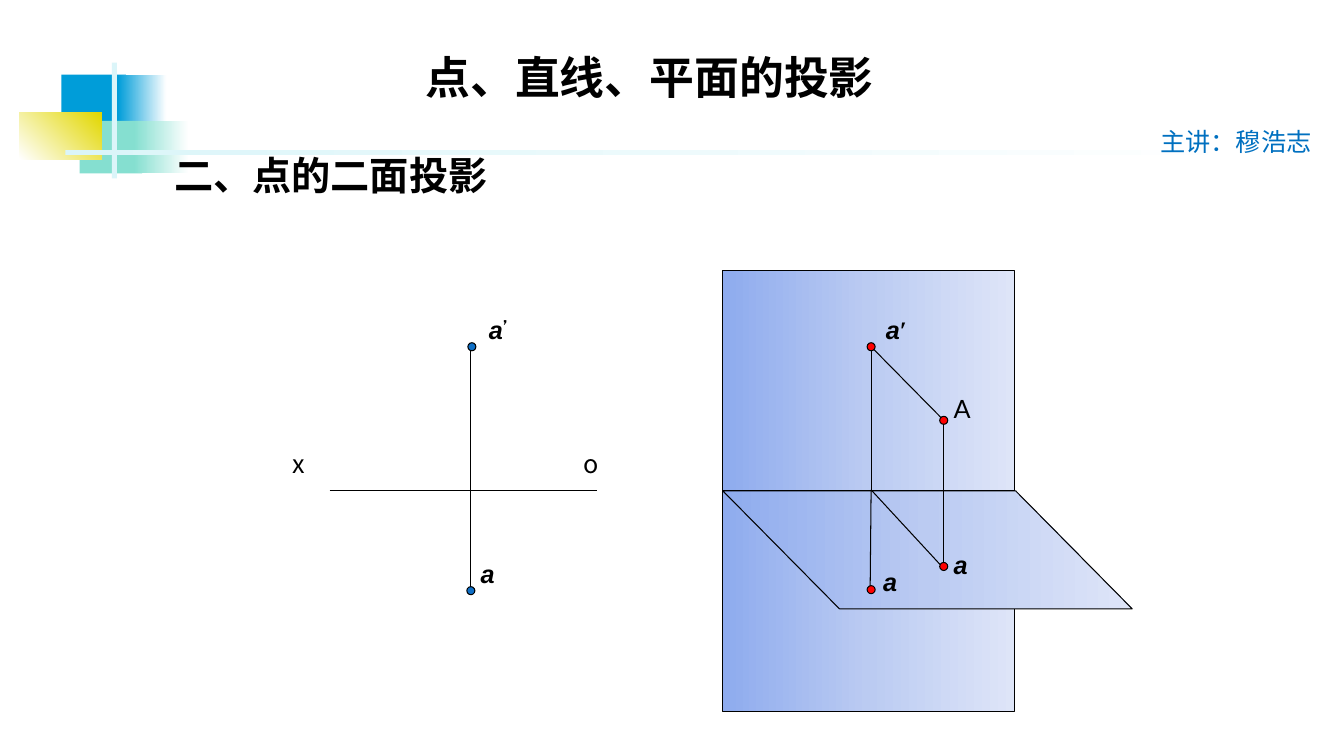
"""Build a slide on the two-plane projection of a point."""
import copy

import pptx
import pptx.dml.color
import pptx.enum.shapes
import pptx.enum.text
import pptx.oxml
import pptx.oxml.ns
import pptx.util

Inches = pptx.util.Inches
Pt = pptx.util.Pt
RGBColor = pptx.dml.color.RGBColor
Shape = pptx.enum.shapes.MSO_SHAPE
Align = pptx.enum.text.PP_ALIGN
Anchor = pptx.enum.text.MSO_ANCHOR

BLACK = RGBColor(0x00, 0x00, 0x00)
WHITE = RGBColor(0xFF, 0xFF, 0xFF)
SKY = RGBColor(0x00, 0x9D, 0xD9)
MINT = RGBColor(0x85, 0xDF, 0xD0)
YELLOW = RGBColor(0xE2, 0xD7, 0x00)
PALE = RGBColor(0xDB, 0xF5, 0xF9)
RED = RGBColor(0xFF, 0x00, 0x00)
BLUE = RGBColor(0x0F, 0x6F, 0xC6)
LECTURER_BLUE = RGBColor(0x00, 0x70, 0xC0)
PLANE_COLORS = [RGBColor(0x8E, 0xAB, 0xEE), RGBColor(0xBB, 0xCB, 0xF2), RGBColor(0xDE, 0xE5, 0xF8)]

CJK = "Noto Sans CJK SC"
CJK_LABEL = "Noto Sans CJK KR"
DOT = 0.08


def add_figure(parent, kind, at, colors, angle=0, outlined=True):
    """Add a shape with a solid fill, or a gradient for several colors."""
    shape = parent.shapes.add_shape(kind, *map(Inches, at))
    shape.shadow.inherit = False
    if len(colors) == 1:
        shape.fill.solid()
        shape.fill.fore_color.rgb = colors[0]
    else:
        shape.fill.gradient()
        shape.fill.gradient_angle = angle
        stop_list = shape._element.spPr.find(".//" + pptx.oxml.ns.qn("a:gsLst"))
        while len(stop_list) < len(colors):
            stop_list.append(copy.deepcopy(stop_list[0]))
        for index, stop in enumerate(shape.fill.gradient_stops):
            stop.position = index / (len(colors) - 1)
            stop.color.rgb = colors[index]
    if outlined:
        shape.line.color.rgb = BLACK
        shape.line.width = Pt(0.75)
    else:
        shape.line.fill.background()
    return shape


def add_label(parent, at, spans, size=18, color=BLACK, align=Align.LEFT, anchor=Anchor.TOP):
    """Add a text box whose spans are (text, font, bold, italic)."""
    box = parent.shapes.add_textbox(*map(Inches, at))
    box.text_frame.word_wrap = True
    box.text_frame.vertical_anchor = anchor
    para = box.text_frame.paragraphs[0]
    para.alignment = align
    for text, font, bold, italic in spans:
        span = para.add_run()
        span.text = text
        span.font.name = font
        span.font.size = Pt(size)
        span.font.bold = bold
        span.font.italic = italic
        span.font.color.rgb = color
        east_asian = pptx.oxml.parse_xml(
            '<a:ea xmlns:a="http://schemas.openxmlformats.org/drawingml/2006/main"/>')
        east_asian.set("typeface", font if font.startswith("Noto") else CJK)
        span.font._element.find(pptx.oxml.ns.qn("a:latin")).addnext(east_asian)


deck = pptx.Presentation()
deck.slide_width = Inches(13.33)
deck.slide_height = Inches(7.5)
page = deck.slides.add_slide(deck.slide_layouts[6])

ornaments = [
    ((0.61, 0.74, 0.64, 0.52), [SKY], 0),
    ((1.17, 0.74, 0.48, 0.52), [SKY, WHITE], 0),
    ((0.79, 1.2, 0.62, 0.52), [MINT], 0),
    ((1.33, 1.2, 0.54, 0.52), [MINT, WHITE], 0),
    ((0.19, 1.12, 0.82, 0.46), [WHITE, YELLOW], 45),
    ((1.11, 0.62, 0.05, 1.15), [PALE], 0),
    ((0.65, 1.49, 12, 0.05), [PALE, WHITE], 0),
]
for at, colors, angle in ornaments:
    add_figure(page, Shape.RECTANGLE, at, colors, angle, outlined=False)

for top in (2.68, 4.87):
    add_figure(page, Shape.RECTANGLE, (7.17, top, 2.89, 2.19), PLANE_COLORS)
floor = add_figure(page, Shape.PARALLELOGRAM, (7.17, 4.87, 4.06, 1.17), PLANE_COLORS, 180)
floor.adjustments[0] = 0.988
floor._element.spPr.find(pptx.oxml.ns.qn("a:xfrm")).set("flipH", "1")

flat_view = page.shapes.add_group_shape()

lines = [
    (page, 8.66, 3.46, 9.36, 4.17),
    (page, 9.36, 4.17, 9.36, 5.65),
    (page, 8.64, 3.46, 8.64, 4.87),
    (page, 8.64, 4.86, 9.37, 5.65),
    (page, 8.64, 4.86, 8.63, 5.88),
    (flat_view, 3.27, 4.87, 5.92, 4.87),
    (flat_view, 4.67, 3.46, 4.67, 5.89),
]
for parent, *ends in lines:
    line = parent.shapes.add_connector(
        pptx.enum.shapes.MSO_CONNECTOR.STRAIGHT, *map(Inches, ends))
    line.line.color.rgb = BLACK
    line.line.width = Pt(0.75)
    line._element.spPr.append(pptx.oxml.parse_xml(
        '<a:effectLst xmlns:a="http://schemas.openxmlformats.org/drawingml/2006/main"/>'))

dots = [
    (page, 9.32, 4.13, RED),
    (page, 9.32, 5.58, RED),
    (page, 8.6, 3.4, RED),
    (page, 8.6, 5.81, RED),
    (flat_view, 4.64, 3.4, BLUE),
    (flat_view, 4.63, 5.82, BLUE),
]
for parent, left, top, color in dots:
    add_figure(parent, Shape.OVAL, (left, top, DOT, DOT), [color])

point = ("a", "Arial", True, True)
labels = [
    (page, 9.36, 3.85, 0.55, [("A", "Lato", False, False)]),
    (page, 9.36, 5.4, 0.47, [point]),
    (page, 8.66, 5.57, 0.55, [point]),
    (flat_view, 4.75, 3.07, 0.63, [point, ("’", "Cabin", False, False)]),
    (flat_view, 4.67, 5.49, 0.63, [point]),
    (flat_view, 5.69, 4.4, 0.63, [("o", CJK_LABEL, False, False)]),
    (flat_view, 2.8, 4.4, 0.63, [("x", CJK_LABEL, False, False)]),
]
for parent, left, top, width, spans in labels:
    add_label(parent, (left, top, width, 0.4), spans)
add_label(page, (8.58, 3.07, 0.62, 0.4), [point, ("′", "Times New Roman", True, False)],
          align=Align.CENTER)

add_label(page, (11.41, 1.2, 1.82, 0.4), [("主讲：穆浩志", CJK, False, False)],
          color=LECTURER_BLUE)
add_label(page, (1.63, 1.45, 3.9, 0.57), [("二、点的二面投影", "Times New Roman", True, False)],
          size=28, anchor=Anchor.MIDDLE)
add_label(page, (3.4, 0.44, 6.09, 0.63), [("点、直线、平面的投影", CJK, True, False)],
          size=32, align=Align.CENTER, anchor=Anchor.MIDDLE)

deck.save("out.pptx")
